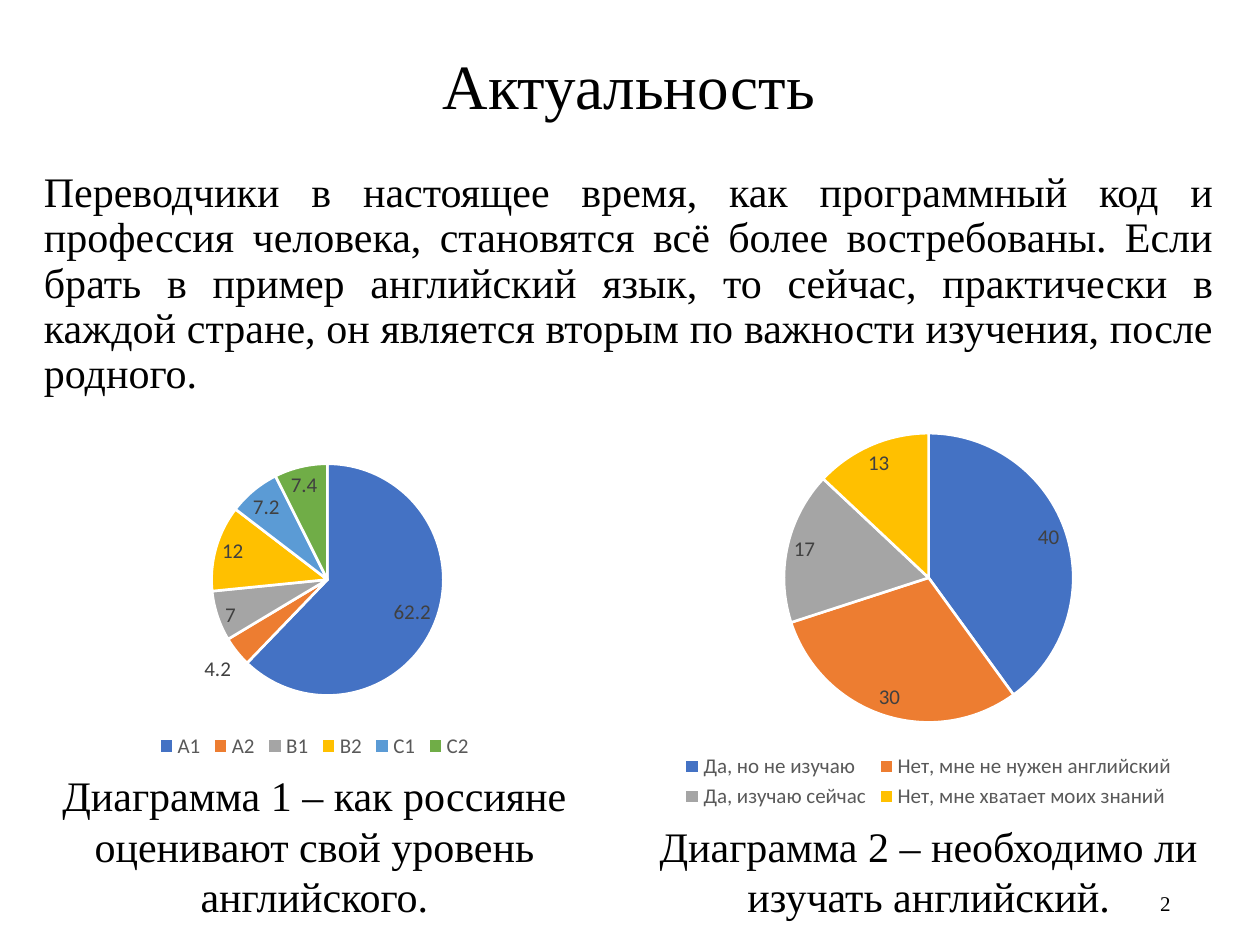
from pptx import Presentation
from pptx.chart.data import CategoryChartData
from pptx.dml.color import RGBColor
from pptx.enum.chart import XL_CHART_TYPE, XL_LABEL_POSITION, XL_LEGEND_POSITION
from pptx.enum.text import MSO_ANCHOR, PP_ALIGN
from pptx.util import Inches, Pt

THEME = {
    "text_font": "Times New Roman", "chart_font": "Calibri",
    "title": 36, "body": 24, "number": 12, "chart": 10, "label": 12,
    "text": "000000", "legend": "595959", "value": "404040", "edge": "FFFFFF",
    "slices": ["4472C4", "ED7D31", "A5A5A5", "FFC000", "5B9BD5", "70AD47"],
}

# Content
TITLE = "Актуальность"
BODY = (
    "Переводчики в настоящее время, как программный код и профессия человека, "
    "становятся всё более востребованы. Если брать в пример английский язык, "
    "то сейчас, практически в каждой стране, он является вторым по важности "
    "изучения, после родного."
)
PAGE_NUMBER = "2"
DIAGRAMS = [
    {
        "caption": "Диаграмма 1 – как россияне оценивают свой уровень английского.",
        "values": {"A1": 62.2, "A2": 4.2, "B1": 7, "B2": 12, "C1": 7.2, "C2": 7.4},
        "width": 4.49, "caption_height": 1.31,
    },
    {
        "caption": "Диаграмма 2 – необходимо ли изучать английский.",
        "values": {
            "Да, но не изучаю": 40,
            "Нет, мне не нужен английский": 30,
            "Да, изучаю сейчас": 17,
            "Нет, мне хватает моих знаний": 13,
        },
        "width": 5.26, "caption_height": 0.91,
    },
]

# Layout
MARGIN, TEXT_WIDTH = 0.25, 9.48
CHART_TOP, CAPTION_BOTTOM = 3.3, 7.37


def style_font(font, name, size, color):
    font.name = name
    font.size = Pt(size)
    font.color.rgb = RGBColor.from_string(color)


def add_text(slide, text, box, size, align, anchor=MSO_ANCHOR.TOP, spacing=1.0, before=0):
    frame = slide.shapes.add_textbox(*map(Inches, box)).text_frame
    frame.word_wrap = True
    frame.vertical_anchor = anchor
    paragraph = frame.paragraphs[0]
    paragraph.text = text
    paragraph.alignment = align
    paragraph.line_spacing = spacing
    paragraph.space_before = Pt(before)
    style_font(paragraph.font, THEME["text_font"], size, THEME["text"])


def add_pie(slide, values, box):
    data = CategoryChartData()
    data.categories = list(values)
    data.add_series("Series 1", list(values.values()))
    chart = slide.shapes.add_chart(XL_CHART_TYPE.PIE, *map(Inches, box), data).chart
    chart.has_title = False
    style_font(chart.font, THEME["chart_font"], THEME["chart"], THEME["text"])

    chart.has_legend = True
    chart.legend.position = XL_LEGEND_POSITION.BOTTOM
    chart.legend.include_in_layout = False
    style_font(chart.legend.font, THEME["chart_font"], THEME["label"], THEME["legend"])

    plot = chart.plots[0]
    plot.vary_by_categories = True
    plot.has_data_labels = True
    labels = plot.data_labels
    labels.show_value = True
    labels.show_percentage = False
    labels.position = XL_LABEL_POSITION.BEST_FIT
    style_font(labels.font, THEME["chart_font"], THEME["label"], THEME["value"])

    for index, color in enumerate(THEME["slices"][:len(values)]):
        slice_format = plot.series[0].points[index].format
        slice_format.fill.solid()
        slice_format.fill.fore_color.rgb = RGBColor.from_string(color)
        slice_format.line.color.rgb = RGBColor.from_string(THEME["edge"])
        slice_format.line.width = Pt(1.5)


def main():
    presentation = Presentation()
    presentation.slide_width, presentation.slide_height = Inches(10), Inches(7.5)
    slide = presentation.slides.add_slide(presentation.slide_layouts[6])

    # Title and body
    add_text(slide, TITLE, (MARGIN, 0, TEXT_WIDTH, 1.41), THEME["title"],
             PP_ALIGN.CENTER, MSO_ANCHOR.MIDDLE, spacing=0.9)
    add_text(slide, BODY, (MARGIN, 1.31, TEXT_WIDTH, 1.99), THEME["body"],
             PP_ALIGN.JUSTIFY, spacing=0.9, before=10)

    # Each pie fills the space above its caption
    left = MARGIN
    for diagram in DIAGRAMS:
        width, caption_height = diagram["width"], diagram["caption_height"]
        caption_top = CAPTION_BOTTOM - caption_height
        add_pie(slide, diagram["values"], (left, CHART_TOP, width, caption_top - CHART_TOP))
        add_text(slide, diagram["caption"], (left, caption_top, width, caption_height),
                 THEME["body"], PP_ALIGN.CENTER)
        left += width

    # Slide number
    add_text(slide, PAGE_NUMBER, (8.92, 6.97, 0.47, 0.4), THEME["number"],
             PP_ALIGN.RIGHT, MSO_ANCHOR.MIDDLE)

    presentation.save("out.pptx")


if __name__ == "__main__":
    main()
